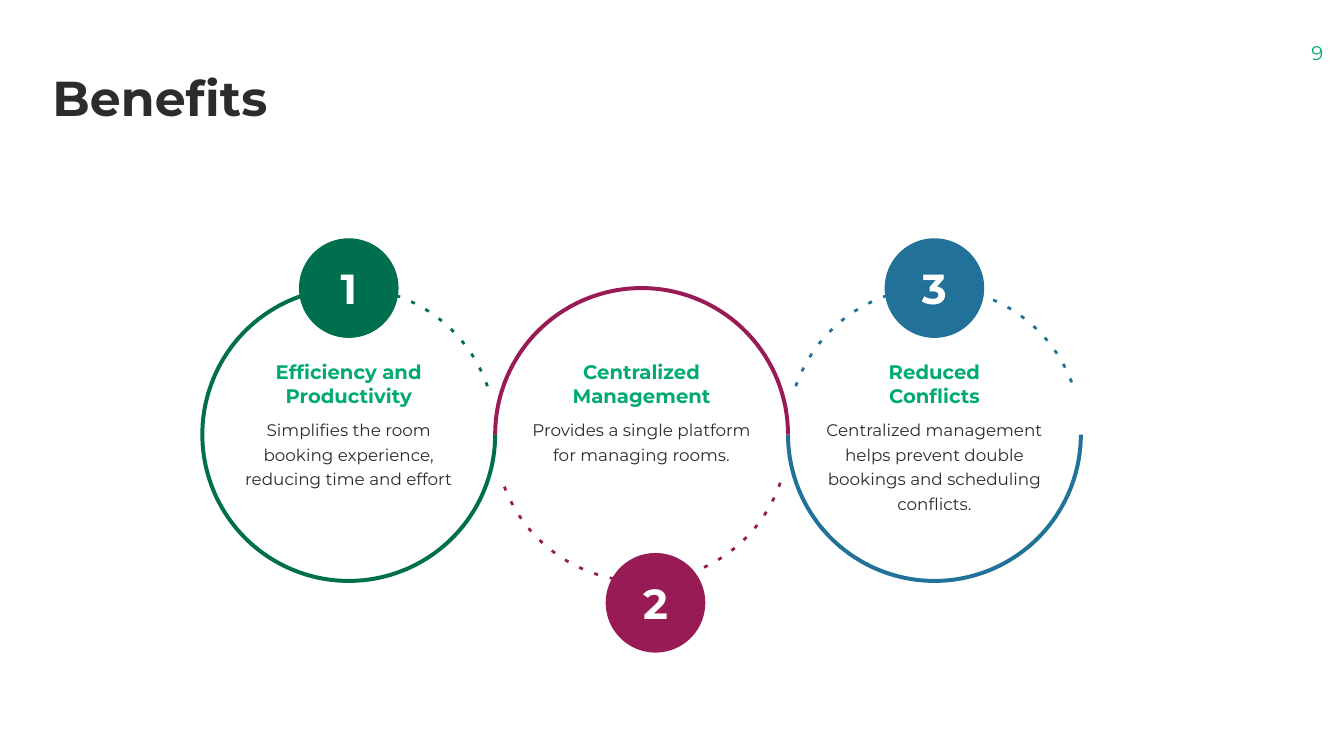
import math
from dataclasses import dataclass

import pptx
import pptx.dml.color
import pptx.enum.shapes
import pptx.enum.text
import pptx.util

Cm = pptx.util.Cm
Pt = pptx.util.Pt
RGBColor = pptx.dml.color.RGBColor
Align = pptx.enum.text.PP_ALIGN
Anchor = pptx.enum.text.MSO_ANCHOR

FONT = "Montserrat"
FOREST = RGBColor(0x00, 0x6F, 0x4E)
BERRY = RGBColor(0x99, 0x1B, 0x56)
OCEAN = RGBColor(0x22, 0x71, 0x98)
EMERALD = RGBColor(0x00, 0xAA, 0x70)
CHARCOAL = RGBColor(0x2C, 0x2C, 0x2C)
WHITE = RGBColor(0xFF, 0xFF, 0xFF)

RING_RADIUS = 3.69
RING_THICKNESS = 0.1
DOT_RADIUS = 3.7
DOT_THICKNESS = 0.07
DOT_SWEEP = 1.6
DOT_PITCH = 6.29
BADGE_SIZE = 2.51
TEXT_WIDTH = 5.97


@dataclass
class Benefit:
    number: str
    heading: str
    detail: str
    color: RGBColor
    solid: tuple
    dots_start: float
    dots_count: int
    badge_offset: tuple


BENEFITS = [
    Benefit("1", "Efficiency and\vProductivity",
            "Simplifies the room booking experience, reducing time and effort",
            FOREST, (0, 270), 270, 12, (0, -RING_RADIUS)),
    Benefit("2", "Centralized\vManagement",
            "Provides a single platform for managing rooms.",
            BERRY, (180, 360), 19.2, 23, (0.35, 4.24)),
    Benefit("3", "Reduced\vConflicts",
            "Centralized management helps prevent double bookings and scheduling conflicts.",
            OCEAN, (0, 180), 199.2, 23, (0, -RING_RADIUS)),
]


def fill_plain(shape, color):
    shape.shadow.inherit = False
    shape.fill.solid()
    shape.fill.fore_color.rgb = color
    shape.line.fill.background()


def write_text(shape, text, size, color, bold=False, align=Align.CENTER,
               anchor=Anchor.TOP, insets=(0, 0, 0, 0)):
    frame = shape.text_frame
    frame.word_wrap = True
    frame.vertical_anchor = anchor
    frame.margin_left, frame.margin_top, frame.margin_right, frame.margin_bottom = map(Cm, insets)
    para = frame.paragraphs[0]
    para.text = text
    para.alignment = align
    for span in para.runs:
        span.font.name = FONT
        span.font.size = Pt(size)
        span.font.bold = bold
        span.font.color.rgb = color
    return para


def add_text(page, left, top, width, height, text, size, color, **style):
    box = page.shapes.add_textbox(Cm(left), Cm(top), Cm(width), Cm(height))
    return write_text(box, text, size, color, **style)


def band_outline(center_x, center_y, radius, thickness, start, end):
    steps = max(1, round((end - start) / 2))
    angles = [math.radians(start + (end - start) * step / steps) for step in range(steps + 1)]
    edges = [(radius + thickness / 2, angles), (radius - thickness / 2, angles[::-1])]
    return [(Cm(center_x + reach * math.cos(angle)), Cm(center_y + reach * math.sin(angle)))
            for reach, turn in edges for angle in turn]


def draw_bands(page, center_x, center_y, radius, thickness, sweeps, color):
    outlines = [band_outline(center_x, center_y, radius, thickness, *sweep) for sweep in sweeps]
    builder = page.shapes.build_freeform(*outlines[0][0])
    builder.add_line_segments(outlines[0][1:], close=True)
    for outline in outlines[1:]:
        builder.move_to(*outline[0])
        builder.add_line_segments(outline[1:], close=True)
    fill_plain(builder.convert_to_shape(), color)


def draw_badge(page, center_x, center_y, number, color):
    badge = page.shapes.add_shape(
        pptx.enum.shapes.MSO_SHAPE.OVAL, Cm(center_x - BADGE_SIZE / 2),
        Cm(center_y - BADGE_SIZE / 2), Cm(BADGE_SIZE), Cm(BADGE_SIZE))
    fill_plain(badge, color)
    write_text(badge, number, 30, WHITE, bold=True, anchor=Anchor.MIDDLE)


def draw_benefit(page, left, top, benefit):
    center_x, center_y = left + RING_RADIUS, top + RING_RADIUS
    dot_starts = [benefit.dots_start + DOT_PITCH * index for index in range(benefit.dots_count)]
    draw_bands(page, center_x, center_y, DOT_RADIUS, DOT_THICKNESS,
               [(start, start + DOT_SWEEP) for start in dot_starts], benefit.color)
    draw_bands(page, center_x, center_y, RING_RADIUS, RING_THICKNESS,
               [benefit.solid], benefit.color)
    offset_x, offset_y = benefit.badge_offset
    draw_badge(page, center_x + offset_x, center_y + offset_y, benefit.number, benefit.color)
    text_left = center_x - TEXT_WIDTH / 2
    add_text(page, text_left, top + 1.63, TEXT_WIDTH, 1.5, benefit.heading, 14, EMERALD,
             bold=True, anchor=Anchor.BOTTOM, insets=(0, 0, 0, 0.13))
    detail = add_text(page, text_left, top + 3.13, TEXT_WIDTH, 2.64, benefit.detail, 12,
                      CHARCOAL, insets=(0.13, 0.08, 0.13, 0.08))
    detail.line_spacing = Pt(17.5)
    detail.space_before = Pt(2.4)


def draw_header(page, left, top):
    title = add_text(page, left, top, 31.19, 1.65, "Benefits", 35, CHARCOAL, bold=True,
                     align=Align.LEFT, insets=(0, 0.2, 0, 0))
    title.line_spacing = 0.9
    add_text(page, left + 31.22, top - 0.64, 1.32, 0.61, "9", 14, EMERALD)


def draw_benefits_page(page):
    draw_header(page, 1.32, 1.68)
    for index, benefit in enumerate(BENEFITS):
        draw_benefit(page, 5.1 + index * 2 * RING_RADIUS, 7.26, benefit)


def main():
    deck = pptx.Presentation()
    deck.slide_width, deck.slide_height = Cm(33.87), Cm(19.05)
    draw_benefits_page(deck.slides.add_slide(deck.slide_layouts[6]))
    deck.save("out.pptx")


if __name__ == "__main__":
    main()
